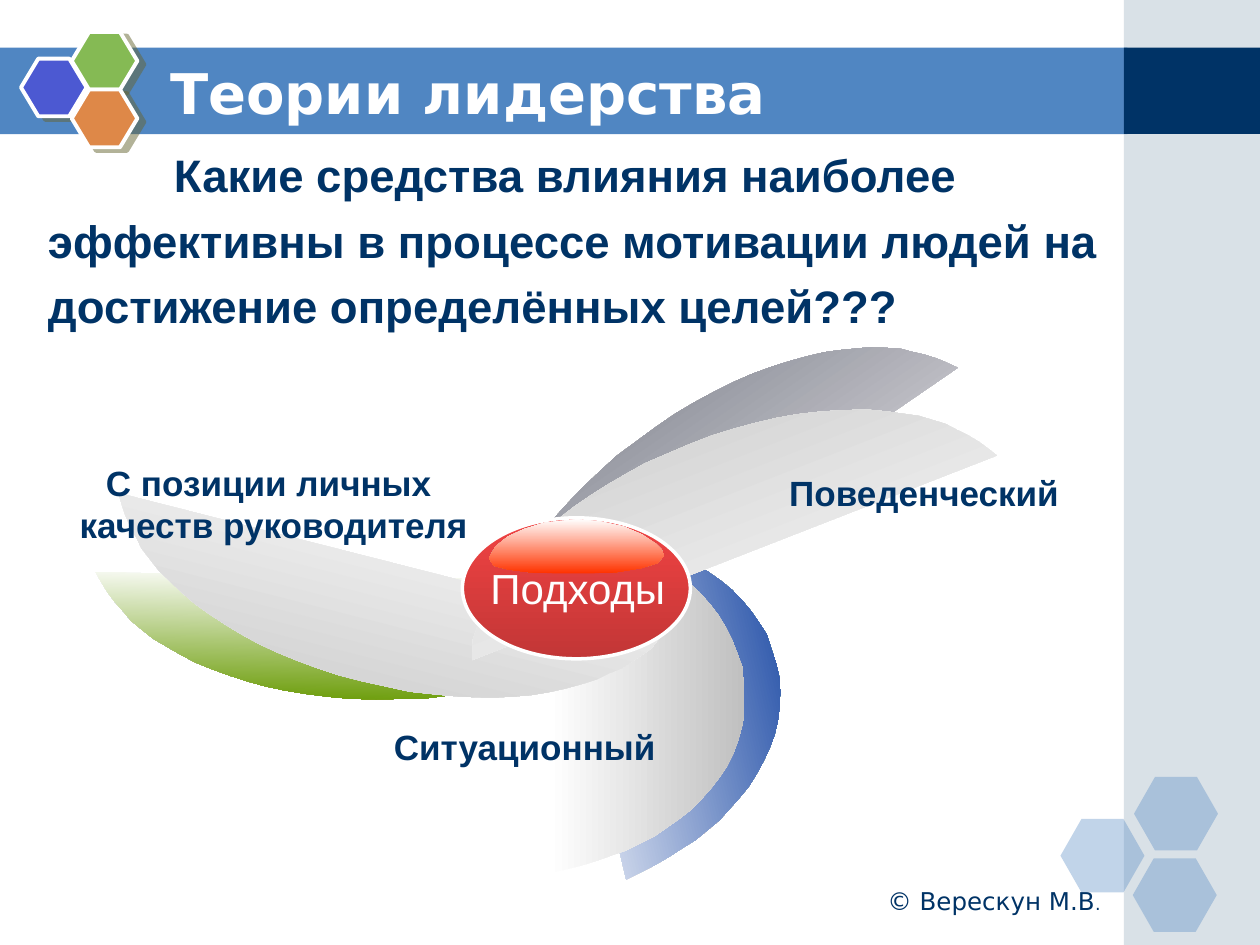
import pptx
import pptx.util
import pptx.dml.color
import pptx.enum.shapes
import pptx.enum.text
import pptx.oxml
import pptx.oxml.ns
from dataclasses import dataclass

Pt = pptx.util.Pt
Kind = pptx.enum.shapes.MSO_SHAPE
Align = pptx.enum.text.PP_ALIGN
Anchor = pptx.enum.text.MSO_ANCHOR
Fit = pptx.enum.text.MSO_AUTO_SIZE
qn = pptx.oxml.ns.qn


@dataclass
class Theme:
    navy: str = "003366"
    white: str = "FFFFFF"
    blue: str = "5086C2"
    pale: str = "A0B5C4"
    shade: str = "666633"
    silver: str = "C0C0C0"
    sans: str = "Arial"
    head: str = "DejaVu Sans"
    title: int = 32
    body: int = 26
    core: int = 24
    label: int = 20
    credit: int = 14
    dot: int = 10


BLADE = [
    (0, 0), (12, 2), (24, 4), (36, 8), (47, 12), (58, 16), (69, 22), (80, 27),
    (91, 34), (101, 41), (110, 48), (119, 56), (127, 65), (134, 74), (140, 84),
    (145, 94), (149, 104), (153, 115), (154, 127), (155, 139), (155, 151),
    (153, 162), (150, 173), (146, 184), (141, 194), (135, 203), (128, 212),
    (120, 221), (112, 229), (103, 236), (93, 243), (83, 250), (73, 255),
    (61, 261), (49, 265), (38, 269), (25, 273), (13, 276), (0, 279)]

GLOSS = [
    (378, 313.9), (379.4, 317.5), (375.8, 321.8), (366.5, 324.7),
    (352.8, 326.9), (339.8, 327.6), (315.4, 327.6), (301.7, 326.9),
    (290.2, 325.4), (282.2, 323.3), (279.4, 319), (283, 312.5),
    (290.2, 306.7), (299.5, 302.4), (311, 298.8), (329.8, 296.6),
    (343.4, 298.1), (356.4, 301), (366.5, 305.3), (375.1, 311)]


def rgb(code):
    return pptx.dml.color.RGBColor.from_string(code)


class Deck:
    def __init__(self, theme):
        self.theme = theme
        self.file = pptx.Presentation()
        self.file.slide_width, self.file.slide_height = Pt(720), Pt(540)
        self.slide = self.file.slides.add_slide(self.file.slide_layouts[1])
        self.shapes = self.slide.shapes

    def paint(self, shape, fill, alpha=None, edge=None, width=0):
        shape.shadow.inherit = False
        if isinstance(fill, tuple):
            first, last, angle = fill
            shape.fill.gradient()
            shape.fill.gradient_angle = angle
            for stop, code in zip(shape.fill.gradient_stops, (first, last)):
                stop.color.rgb = rgb(code)
                stop.position = 0 if stop is None or code == first else 1
        else:
            shape.fill.solid()
            shape.fill.fore_color.rgb = rgb(fill)
        if alpha:
            color = shape.element.spPr.find(".//" + qn("a:srgbClr"))
            color.append(pptx.oxml.parse_xml(
                f'<a:alpha {pptx.oxml.ns.nsdecls("a")} val="{alpha * 1000}"/>'))
        if edge:
            shape.line.color.rgb = rgb(edge)
            shape.line.width = Pt(width)
        else:
            shape.line.fill.background()
        return shape

    def form(self, kind, box, fill, **style):
        shape = self.shapes.add_shape(kind, *map(Pt, box))
        return self.paint(shape, fill, **style)

    def hexa(self, box, fill, bend, **style):
        shape = self.form(Kind.HEXAGON, box, fill, **style)
        shape.adjustments[0] = bend
        return shape

    def shadow(self, shape):
        shape.element.spPr.find(qn("a:effectLst")).append(pptx.oxml.parse_xml(
            f'<a:outerShdw {pptx.oxml.ns.nsdecls("a")} dist="57150" '
            f'dir="1620000" algn="ctr" rotWithShape="0">'
            f'<a:srgbClr val="{self.theme.shade}"><a:alpha val="50000"/>'
            f'</a:srgbClr></a:outerShdw>'))

    def shape(self, points, fill):
        grid = [(round(x * 100), round(y * 100)) for x, y in points]
        pen = self.shapes.build_freeform(*grid[0], scale=127)
        pen.add_line_segments(grid[1:], close=True)
        return self.paint(pen.convert_to_shape(), fill)

    def blade(self, box, turn, tint):
        left, top, width, height = box
        points = [(left + x / 155 * width, top + y / 279 * height)
                  for x, y in BLADE]
        self.shape(points, (self.theme.white, tint, 0)).rotation = turn

    def style(self, para, size, color, face, bold, align):
        para.font.size = Pt(size)
        para.font.color.rgb = rgb(color)
        para.font.name = face
        para.font.bold = bold
        para.alignment = align

    def text(self, box, lines, size, color, face=None, bold=False,
             align=Align.CENTER, wrap=False):
        frame = self.shapes.add_textbox(*map(Pt, box)).text_frame
        frame.word_wrap = wrap
        frame.auto_size = Fit.NONE if wrap else Fit.SHAPE_TO_FIT_TEXT
        frame.text = "\n".join(lines)
        for para in frame.paragraphs:
            self.style(para, size, color, face or self.theme.sans, bold, align)
        return frame

    def holder(self, index, box, words, size, color, face, anchor):
        item = self.slide.placeholders[index]
        item.left, item.top, item.width, item.height = map(Pt, box)
        self.shapes.element.append(item.element)
        frame = item.text_frame
        frame.text = words
        frame.auto_size = Fit.NONE
        frame.vertical_anchor = anchor
        para = frame.paragraphs[0]
        self.style(para, size, color, face, True, Align.LEFT)
        return para

    def title(self, box, words):
        look = self.theme
        self.holder(0, box, words, look.title, look.white, look.head,
                    Anchor.MIDDLE)

    def body(self, box, words):
        look = self.theme
        para = self.holder(1, box, words, look.body, look.navy, look.sans,
                           Anchor.TOP)
        para.level = 1
        para.line_spacing = 1.2
        props = para._p.get_or_add_pPr()
        props.set("marL", "0")
        props.set("indent", str(Pt(72)))
        mark = pptx.oxml.parse_xml(
            f'<a:buNone {pptx.oxml.ns.nsdecls("a")}/>')
        props.insert_element_before(mark, "a:tabLst", "a:defRPr", "a:extLst")


def main():
    look = Theme()
    deck = Deck(look)

    deck.form(Kind.RECTANGLE, (-0.7, 27.2, 645, 49.5), look.blue)
    deck.form(Kind.RECTANGLE, (642.2, 0, 77.8, 540), look.pale, alpha=40)
    deck.form(Kind.RECTANGLE, (642.2, 27.2, 77.8, 49.3), look.navy)
    for left, top in ((606, 468), (648, 444), (647.3, 490.5)):
        deck.hexa((left, top, 48, 42), look.blue, 0.286, alpha=35)
    for left, top, tint in ((12, 33.5, "4C59D2"), (41, 18.3, "85BA54"),
                            (41, 51.2, "DE8848")):
        cell = deck.hexa((left, top, 37.5, 33), tint, 0.3,
                         edge=look.white, width=2.25)
        deck.shadow(cell)

    deck.title((90, 30, 528, 45), "Теории лидерства")
    credit = deck.text((408, 502.5, 228, 26), ["© Верескун М.В"], look.credit,
                       look.navy, look.head, align=Align.RIGHT, wrap=True)
    dot = credit.paragraphs[0].add_run()
    dot.text = "."
    dot.font.size = Pt(look.dot)
    deck.body((20.2, 74.2, 641, 440),
              "Какие средства влияния наиболее эффективны в процессе "
              "мотивации людей на достижение определённых целей???")

    wide, slim = (111.6, 200.9), (69.8, 321.8)
    for spot, size, turn, tint in (
            ((333.4, 291.6), wide, 346.8, "003399"),
            ((180, 203.8), slim, 91, "669900"),
            ((360, 111.6), slim, 235.5, "565868"),
            ((313.9, 298.1), wide, 0, look.silver),
            ((180, 194.4), slim, 104.3, look.silver),
            ((372.2, 125.3), slim, 248.7, look.silver)):
        deck.blade(spot + size, turn, tint)

    deck.form(Kind.OVAL, (264.2, 295.9, 130.3, 80.6),
              ("F14343", "C23636", 270), edge=look.white, width=2)
    deck.shape(GLOSS, (look.white, "FF3300", 270))
    deck.text((265, 318.2, 130.3, 38.2), ["Подходы"], look.core, look.white)
    for box, lines in (
            ((20.2, 259.9, 272.2, 58.3),
             ["С позиции личных ", "качеств руководителя"]),
            ((428.4, 265.7, 199.4, 33.1), ["Поведенческий"]),
            ((206.6, 411.1, 186.5, 33.1), ["Ситуационный"])):
        deck.text(box, lines, look.label, look.navy, bold=True)

    deck.file.save("out.pptx")


if __name__ == "__main__":
    main()
